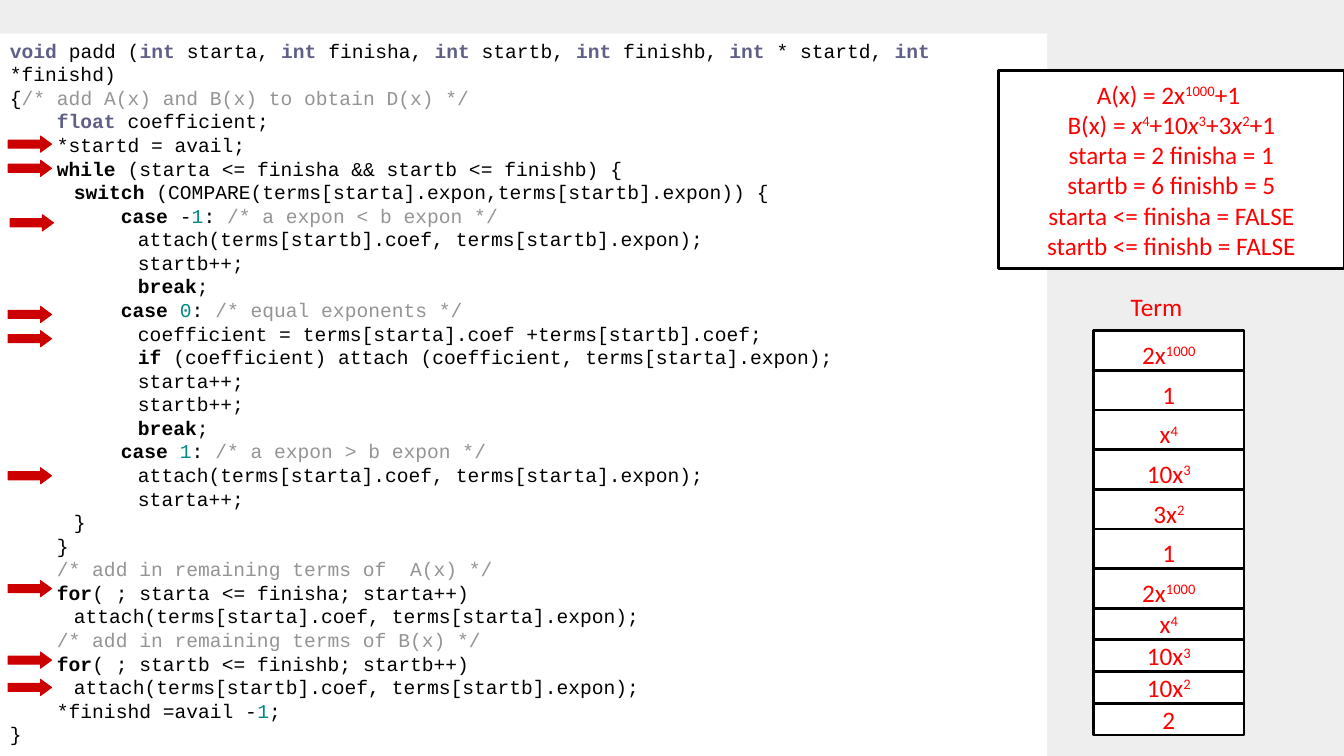
from dataclasses import dataclass

from pptx import Presentation
from pptx.dml.color import RGBColor
from pptx.enum.shapes import MSO_SHAPE
from pptx.enum.text import MSO_ANCHOR, PP_ALIGN
from pptx.util import Pt

RECT, ARROW = MSO_SHAPE.RECTANGLE, MSO_SHAPE.RIGHT_ARROW
TOP, MIDDLE = MSO_ANCHOR.TOP, MSO_ANCHOR.MIDDLE
LEFT, CENTER = PP_ALIGN.LEFT, PP_ALIGN.CENTER

BLACK = RGBColor(0x00, 0x00, 0x00)
WHITE = RGBColor(0xFF, 0xFF, 0xFF)
GRAY = RGBColor(0xEE, 0xEE, 0xEE)
RED = RGBColor(0xFF, 0x00, 0x00)
DARK_RED = RGBColor(0xCC, 0x00, 0x00)
VIOLET = RGBColor(0x5F, 0x5F, 0x87)
TEAL = RGBColor(0x00, 0x87, 0x87)
ASH = RGBColor(0x94, 0x94, 0x94)


@dataclass
class Box:
    x: float
    y: float
    w: float
    h: float


@dataclass
class Style:
    font: str
    size: float
    color: RGBColor
    align: PP_ALIGN


@dataclass
class Line:
    level: int
    text: str


CODE = Style("Courier New", 14, BLACK, LEFT)
MATH = Style("Calibri", 18, RED, CENTER)
LABEL = Style("Calibri", 18, RED, LEFT)

# Marked text sits between tildes; its first letter names the mark:
# T type, B bold, C comment, N number, I italic, ^ superscript
COLORS = {"T": VIOLET, "C": ASH, "N": TEAL}
INDENTS = [0, 33.6, 45.75, 79.35, 91.5]
PITCH = 16.85

LINES = [
    Line(0, "~Tvoid ~padd (~Tint ~starta, ~Tint ~finisha, ~Tint ~startb, "
            "~Tint ~finishb, ~Tint~ * startd, ~Tint~ *finishd)"),
    Line(0, "{~C/* add A(x) and B(x) to obtain D(x) */~"),
    Line(1, "~Tfloat~ coefficient;"),
    Line(1, "*startd = avail;"),
    Line(1, "~Bwhile~ (starta <= finisha && startb <= finishb) {"),
    Line(2, "~Bswitch~ (COMPARE(terms[starta].expon,terms[startb].expon)) {"),
    Line(3, "~Bcase~ -~N1~: ~C/* a expon < b expon */~"),
    Line(4, "attach(terms[startb].coef, terms[startb].expon);"),
    Line(4, "startb++;"),
    Line(4, "~Bbreak~;"),
    Line(3, "~Bcase ~~N0~: ~C/* equal exponents */~"),
    Line(4, "coefficient = terms[starta].coef +terms[startb].coef;"),
    Line(4, "~Bif~ (coefficient) attach (coefficient, terms[starta].expon);"),
    Line(4, "starta++;"),
    Line(4, "startb++;"),
    Line(4, "~Bbreak~;"),
    Line(3, "~Bcase ~~N1~: ~C/* a expon > b expon */~"),
    Line(4, "attach(terms[starta].coef, terms[starta].expon);"),
    Line(4, "starta++;"),
    Line(2, "}"),
    Line(1, "}"),
    Line(1, "~C/* add in remaining terms of  A(x) */~"),
    Line(1, "~Bfor~( ; starta <= finisha; starta++)"),
    Line(2, "attach(terms[starta].coef, terms[starta].expon);"),
    Line(1, "~C/* add in remaining terms of B(x) */~"),
    Line(1, "~Bfor~( ; startb <= finishb; startb++)"),
    Line(2, "attach(terms[startb].coef, terms[startb].expon);"),
    Line(1, "*finishd =avail -~N1~;"),
    Line(0, "}"),
]
STATE = [
    "A(x) = 2x~^1000~+1 ",
    "B(x) = ~Ix~~^4~+10~Ix~~^3~+3~Ix~~^2~+1",
    "starta = 2 finisha = 1",
    "startb = 6 finishb = 5",
    "starta <= finisha = FALSE",
    "startb <= finishb = FALSE",
]
INPUTS = ["2x~^1000~", "1", "x~^4~", "10x~^3~", "3x~^2~", "1", "2x~^1000~"]
SUMS = ["x~^4~", "10x~^3~", "10x~^2~", "2"]
ARROWS = [(5.8, y) for y in (97.2, 114.5, 218.9, 236.2, 334.1, 414.7, 465.8, 485.3)]
ARROWS.append((7.2, 153.4))


def add_runs(para, text: str, style: Style) -> None:
    para.alignment = style.align
    for i, part in enumerate(text.split("~")):
        if not part:
            continue
        mark, words = (part[0], part[1:]) if i % 2 else ("", part)
        run = para.add_run()
        run.text = words
        font = run.font
        font.name, font.size = style.font, Pt(style.size)
        font.color.rgb = COLORS.get(mark, style.color)
        font.bold = mark in ("T", "B")
        font.italic = mark == "I"
        if mark == "^":
            run._r.get_or_add_rPr().set("baseline", "30000")


def write(shape, lines: list[Line], style: Style, wrap: bool, anchor) -> None:
    frame = shape.text_frame
    frame.word_wrap, frame.vertical_anchor = wrap, anchor
    for i, line in enumerate(lines):
        para = frame.paragraphs[0] if i == 0 else frame.add_paragraph()
        add_runs(para, line.text, style)
        if style is CODE:
            para.line_spacing = Pt(PITCH)
            props = para._p.get_or_add_pPr()
            props.set("marL", str(Pt(INDENTS[line.level])))
            props.set("indent", "0")


def add_box(slide, kind, box: Box, fill: RGBColor, edge: RGBColor | None, width: float = 2):
    shape = slide.shapes.add_shape(kind, Pt(box.x), Pt(box.y), Pt(box.w), Pt(box.h))
    shape.shadow.inherit = False
    shape.fill.solid()
    shape.fill.fore_color.rgb = fill
    if edge is None:
        shape.line.fill.background()
    else:
        shape.line.color.rgb = edge
        shape.line.width = Pt(width)
    return shape


def add_math(slide, box: Box, texts: list[str]) -> None:
    shape = add_box(slide, RECT, box, WHITE, BLACK)
    write(shape, [Line(0, text) for text in texts], MATH, False, MIDDLE)


def add_stack(slide, texts: list[str], top: float, step: float, height: float) -> None:
    for i, text in enumerate(texts):
        add_math(slide, Box(781.2, top + i * step, 107.5, height), [text])


def main() -> None:
    deck = Presentation()
    deck.slide_width, deck.slide_height = Pt(960), Pt(540)
    slide = deck.slides.add_slide(deck.slide_layouts[6])
    slide.background.fill.solid()
    slide.background.fill.fore_color.rgb = GRAY

    # Code listing
    panel = add_box(slide, RECT, Box(0, 24, 748, 516), WHITE, None)
    write(panel, LINES, CODE, True, TOP)

    # Arrows at the visited lines
    for x, y in ARROWS:
        arrow = add_box(slide, ARROW, Box(x, y, 31, 11.5), DARK_RED, DARK_RED, 0.75)
        arrow.adjustments[0], arrow.adjustments[1] = 0.5, 0.68

    # Term array
    label = slide.shapes.add_textbox(Pt(800.6), Pt(204.5), Pt(54), Pt(28.8))
    write(label, [Line(0, "Term")], LABEL, False, TOP)
    add_stack(slide, INPUTS, 236.2, 28.35, 33.8)
    add_stack(slide, SUMS, 434.4, 22.7, 22.5)

    # Current state
    add_math(slide, Box(713.3, 50.4, 246.7, 141.6), STATE)

    deck.save("out.pptx")


if __name__ == "__main__":
    main()
